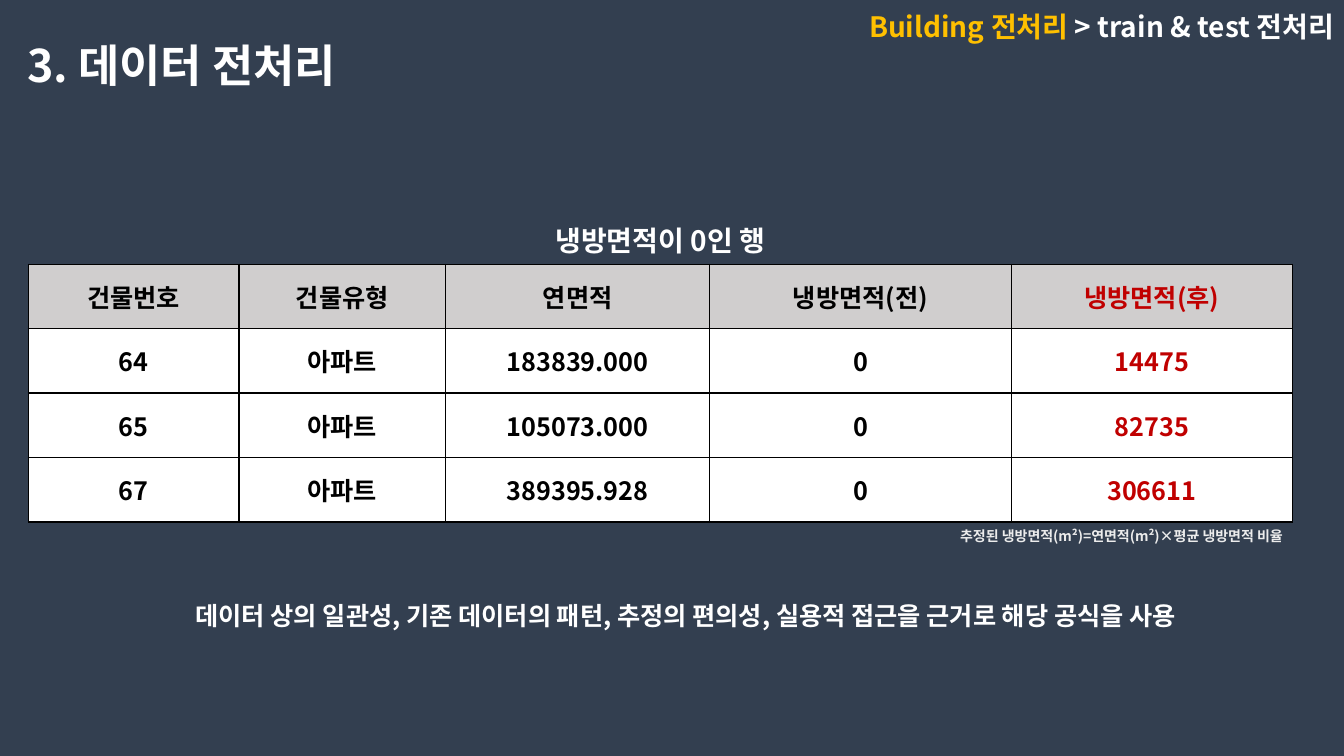
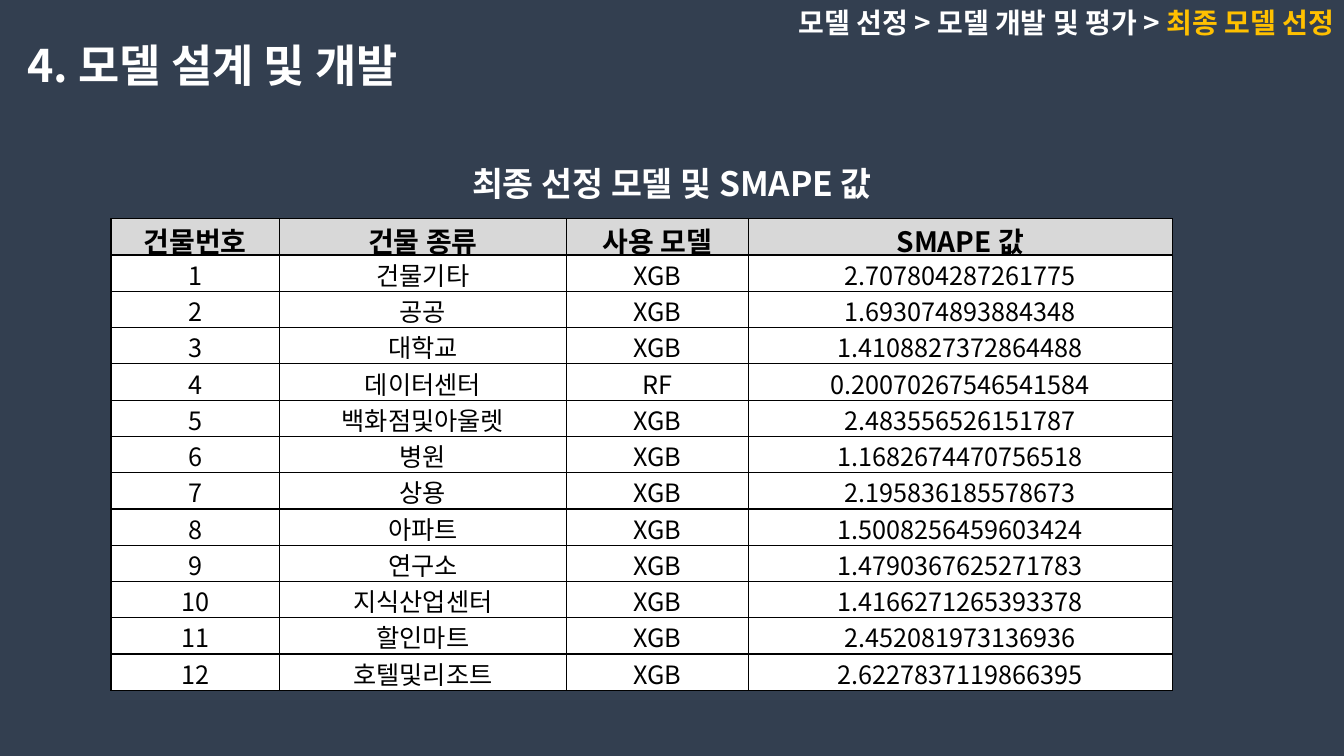
from dataclasses import dataclass
from typing import Optional

from lxml import etree
from pptx import Presentation
from pptx.dml.color import RGBColor
from pptx.enum.text import MSO_ANCHOR, MSO_AUTO_SIZE, PP_ALIGN
from pptx.oxml.ns import qn
from pptx.util import Inches, Pt

LEFT, CENTER, RIGHT = PP_ALIGN.LEFT, PP_ALIGN.CENTER, PP_ALIGN.RIGHT
TOP, MIDDLE = MSO_ANCHOR.TOP, MSO_ANCHOR.MIDDLE
NO_AUTOFIT = MSO_AUTO_SIZE.NONE
TITLE_ONLY = 5


@dataclass(frozen=True)
class Theme:
    font: str = "Noto Sans CJK KR"
    background: str = "333F50"
    white: str = "FFFFFF"
    black: str = "000000"
    gold: str = "FFC000"
    red: str = "C00000"
    note: str = "ECECEC"
    warm_header: str = "D0CECE"
    cool_header: str = "D8D8D8"
    title_size: int = 32
    caption_size: int = 24
    heading_size: int = 20
    body_size: int = 18
    note_size: int = 10
    border: float = 1


THEME = Theme()


@dataclass(frozen=True)
class Box:
    left: float
    top: float
    width: float
    height: float

    def emu(self) -> tuple:
        return tuple(Inches(v) for v in (self.left, self.top, self.width, self.height))


@dataclass(frozen=True)
class Label:
    text: str
    box: Box
    size: int
    color: str = THEME.white
    align: PP_ALIGN = CENTER
    level: int = 0


@dataclass(frozen=True)
class Crumb:
    text: str
    color: str = THEME.white


@dataclass(frozen=True)
class Grid:
    left: float
    top: float
    columns: tuple
    row_height: float
    rows: tuple
    header_fill: str
    header_size: int
    body_bold: bool
    margins: tuple = (0.1, 0.05, 0.1, 0.05)
    accent_column: Optional[int] = None


def style(paragraph, size: int, color: Optional[str], align: PP_ALIGN, bold: bool = True) -> None:
    font = paragraph.font
    font.size, font.bold, font.name = Pt(size), bold, THEME.font
    if color:
        font.color.rgb = RGBColor.from_string(color)
    # Hangul uses the East Asian typeface slot
    properties = paragraph._p.pPr.find(qn("a:defRPr"))
    etree.SubElement(properties, qn("a:ea")).set("typeface", THEME.font)
    paragraph.alignment = align


def add_label(slide, label: Label) -> None:
    frame = slide.shapes.add_textbox(*label.box.emu()).text_frame
    frame.word_wrap = True
    paragraph = frame.paragraphs[0]
    paragraph.text = label.text
    paragraph.level = label.level
    style(paragraph, label.size, label.color, label.align)


def add_breadcrumb(slide, box: Box, crumbs: tuple) -> None:
    frame = slide.shapes.add_textbox(*box.emu()).text_frame
    frame.word_wrap = True
    paragraph = frame.paragraphs[0]
    for crumb in crumbs:
        run = paragraph.add_run()
        run.text = crumb.text
        run.font.color.rgb = RGBColor.from_string(crumb.color)
    style(paragraph, THEME.heading_size, None, RIGHT)


def add_borders(cell) -> None:
    properties = cell._tc.get_or_add_tcPr()
    for index, side in enumerate(("lnL", "lnR", "lnT", "lnB")):
        line = etree.Element(qn(f"a:{side}"), w=str(Pt(THEME.border)))
        fill = etree.SubElement(line, qn("a:solidFill"))
        etree.SubElement(fill, qn("a:srgbClr"), val=THEME.black)
        properties.insert(index, line)


def add_grid(slide, grid: Grid) -> None:
    box = Box(grid.left, grid.top, sum(grid.columns), grid.row_height * len(grid.rows))
    table = slide.shapes.add_table(len(grid.rows), len(grid.columns), *box.emu()).table
    table.first_row = table.horz_banding = False
    for column, width in zip(table.columns, grid.columns):
        column.width = Inches(width)
    for r, values in enumerate(grid.rows):
        table.rows[r].height = Inches(grid.row_height)
        header = r == 0
        for c, value in enumerate(values):
            cell = table.cell(r, c)
            cell.text = value
            cell.vertical_anchor = MIDDLE
            (cell.margin_left, cell.margin_top,
             cell.margin_right, cell.margin_bottom) = map(Inches, grid.margins)
            cell.fill.solid()
            cell.fill.fore_color.rgb = RGBColor.from_string(
                grid.header_fill if header else THEME.white)
            add_borders(cell)
            style(cell.text_frame.paragraphs[0],
                  grid.header_size if header else THEME.body_size,
                  THEME.red if c == grid.accent_column else THEME.black,
                  CENTER, header or grid.body_bold)


def add_titled_slide(prs, title: str, width: float):
    slide = prs.slides.add_slide(prs.slide_layouts[TITLE_ONLY])
    heading = slide.shapes.title
    heading.left, heading.top, heading.width, heading.height = Box(0.17, 0.32, width, 0.64).emu()
    frame = heading.text_frame
    frame.text = title
    frame.word_wrap = False
    frame.auto_size = NO_AUTOFIT
    frame.vertical_anchor = TOP
    style(frame.paragraphs[0], THEME.title_size, THEME.white, LEFT)
    return slide


# Cooling area: rows that were zero before preprocessing
COOLING_GRID = Grid(
    left=0.28, top=2.62, columns=(2.09, 2.05, 2.62, 2.99, 2.79), row_height=0.64,
    rows=(
        ("건물번호", "건물유형", "연면적", "냉방면적(전)", "냉방면적(후)"),
        ("64", "아파트", "183839.000", "0", "14475"),
        ("65", "아파트", "105073.000", "0", "82735"),
        ("67", "아파트", "389395.928", "0", "306611"),
    ),
    header_fill=THEME.warm_header, header_size=THEME.body_size,
    body_bold=True, accent_column=4,
)
COOLING_LABELS = (
    Label("냉방면적이 0인 행", Box(0.28, 2.17, 12.54, 0.44), THEME.heading_size),
    Label("데이터 상의 일관성, 기존 데이터의 패턴, 추정의 편의성, 실용적 접근을 근거로 해당 공식을 사용",
          Box(0.28, 5.91, 12.54, 0.4), THEME.body_size, level=1),
    Label("추정된 냉방면적(m²)=연면적(m²)×평균 냉방면적 비율",
          Box(0.28, 5.18, 12.54, 0.27), THEME.note_size, THEME.note, RIGHT),
)

# Final models: building type, model and SMAPE, numbered in order
MODEL_SCORES = (
    ("건물기타", "XGB", "2.707804287261775"),
    ("공공", "XGB", "1.693074893884348"),
    ("대학교", "XGB", "1.4108827372864488"),
    ("데이터센터", "RF", "0.20070267546541584"),
    ("백화점및아울렛", "XGB", "2.483556526151787"),
    ("병원", "XGB", "1.1682674470756518"),
    ("상용", "XGB", "2.195836185578673"),
    ("아파트", "XGB", "1.5008256459603424"),
    ("연구소", "XGB", "1.4790367625271783"),
    ("지식산업센터", "XGB", "1.4166271265393378"),
    ("할인마트", "XGB", "2.452081973136936"),
    ("호텔및리조트", "XGB", "2.6227837119866395"),
)
MODEL_GRID = Grid(
    left=1.1, top=2.17, columns=(1.67, 2.85, 1.8, 4.21), row_height=0.36,
    rows=(("건물번호", "건물 종류", "사용 모델", "SMAPE 값"),
          *((str(n), *score) for n, score in enumerate(MODEL_SCORES, 1))),
    header_fill=THEME.cool_header, header_size=THEME.heading_size,
    body_bold=False, margins=(0.01, 0.01, 0.01, 0),
)
MODEL_CAPTION = Label("최종 선정 모델 및 SMAPE 값", Box(0, 1.57, 13.33, 0.5), THEME.caption_size)


def build_preprocessing(prs) -> None:
    slide = add_titled_slide(prs, "3. 데이터 전처리", 3.65)
    add_grid(slide, COOLING_GRID)
    for label in COOLING_LABELS:
        add_label(slide, label)
    add_breadcrumb(slide, Box(7.21, 0.05, 6.12, 0.44), (
        Crumb("Building 전처리 ", THEME.gold), Crumb("> train & test 전처리")))


def build_model_selection(prs) -> None:
    slide = add_titled_slide(prs, "4. 모델 설계 및 개발", 4.38)
    add_breadcrumb(slide, Box(6.66, 0.01, 6.67, 0.44), (
        Crumb("모델 선정 > 모델 개발 및 평가 > "), Crumb("최종 모델 선정", THEME.gold)))
    add_grid(slide, MODEL_GRID)
    add_label(slide, MODEL_CAPTION)


def main() -> None:
    prs = Presentation()
    prs.slide_width, prs.slide_height = Inches(13.33), Inches(7.5)
    # Shared dark background
    backdrop = prs.slide_master.background.fill
    backdrop.solid()
    backdrop.fore_color.rgb = RGBColor.from_string(THEME.background)
    build_preprocessing(prs)
    build_model_selection(prs)
    prs.save("out.pptx")


if __name__ == "__main__":
    main()
